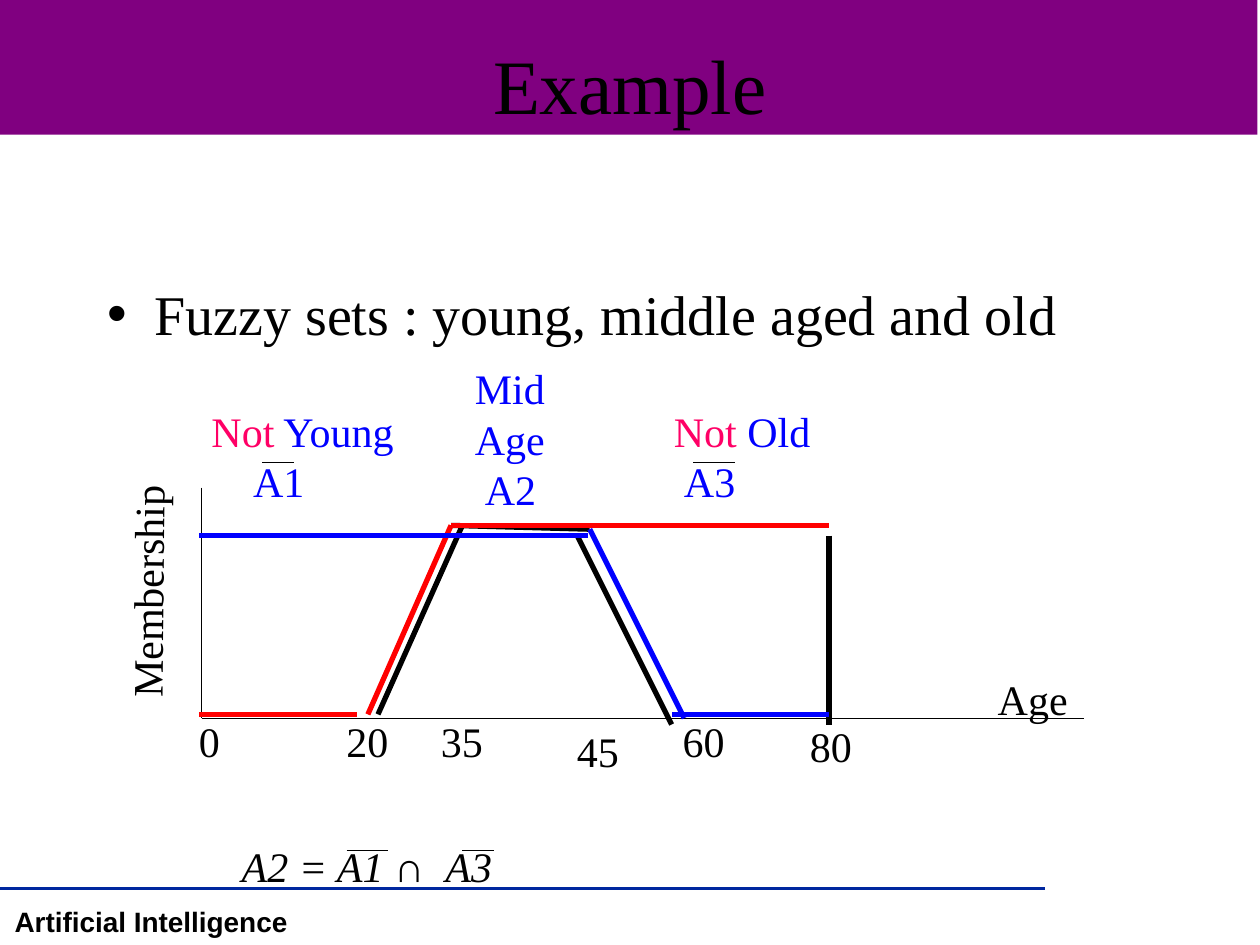
from dataclasses import dataclass

from pptx import Presentation
from pptx.dml.color import RGBColor
from pptx.enum import shapes, text
from pptx.oxml.ns import qn
from pptx.util import Inches, Pt
from lxml import etree


@dataclass(frozen=True)
class Theme:
    serif: str = "Times New Roman"
    sans: str = "Arial"
    black: str = "000000"
    purple: str = "800080"
    navy: str = "00279F"
    red: str = "FF0000"
    blue: str = "0000FF"
    pink: str = "FF0066"
    title: int = 44
    body: int = 32
    label: int = 24
    footer: int = 16
    thin: float = 0.75
    rule: float = 2
    thick: float = 3


THEME = Theme()


@dataclass(frozen=True)
class Run:
    text: str
    color: str = THEME.black
    size: int = THEME.label
    font: str = THEME.serif
    bold: bool = False
    italic: bool = False
    spacing: int = 0


@dataclass(frozen=True)
class Para:
    runs: tuple[Run, ...]
    indent: float = 0
    align: text.PP_ALIGN = text.PP_ALIGN.LEFT


@dataclass(frozen=True)
class Label:
    left: float
    top: float
    width: float
    height: float
    paras: tuple[Para, ...]
    rotation: float = 0


@dataclass(frozen=True)
class Line:
    x1: float
    y1: float
    x2: float
    y2: float
    color: str = THEME.black
    weight: float = THEME.thin


def one(content: str, color: str = THEME.black, indent: float = 0) -> Para:
    return Para((Run(content, color),), indent)


def add_run(p, run: Run) -> None:
    r = p.add_run()
    r.text = run.text
    f = r.font
    f.name, f.size = run.font, Pt(run.size)
    f.bold, f.italic = run.bold, run.italic
    f.color.rgb = RGBColor.from_string(run.color)
    if run.spacing:
        r._r.get_or_add_rPr().set("spc", str(run.spacing * 100))


def add_line(s, line: Line) -> None:
    ends = (Inches(v) for v in (line.x1, line.y1, line.x2, line.y2))
    c = s.shapes.add_connector(shapes.MSO_CONNECTOR.STRAIGHT, *ends)
    c.line.color.rgb = RGBColor.from_string(line.color)
    c.line.width = Pt(line.weight)
    etree.SubElement(c._element.spPr, qn("a:effectLst"))


def add_label(s, label: Label) -> None:
    box = (Inches(v) for v in (label.left, label.top, label.width, label.height))
    sp = s.shapes.add_textbox(*box)
    sp.rotation = label.rotation
    tf = sp.text_frame
    tf.word_wrap = False
    tf.auto_size = text.MSO_AUTO_SIZE.SHAPE_TO_FIT_TEXT
    for i, para in enumerate(label.paras):
        p = tf.add_paragraph() if i else tf.paragraphs[0]
        p.alignment = para.align
        if para.indent:
            p._p.get_or_add_pPr().set("marL", str(Inches(para.indent)))
        for run in para.runs:
            add_run(p, run)


def add_band(s) -> None:
    sp = s.shapes.add_shape(shapes.MSO_SHAPE.RECTANGLE, 0, 0, Inches(9.98), Inches(1.07))
    sp.shadow.inherit = False
    sp.fill.solid()
    sp.fill.fore_color.rgb = RGBColor.from_string(THEME.purple)
    sp.line.fill.background()


def fill_placeholder(s, sp, top: float, height: float, run: Run) -> None:
    sp.left, sp.top, sp.width, sp.height = map(Inches, (0.75, top, 8.5, height))
    sp.text_frame.auto_size = text.MSO_AUTO_SIZE.NONE
    add_run(sp.text_frame.paragraphs[0], run)
    s.shapes._spTree.append(sp._element)


def negated(name: str) -> Para:
    return Para((Run("Not", THEME.pink), Run(f" {name}", THEME.blue)))


FOOTER_LINE = Line(0, 7.05, 8.29, 7.05, THEME.navy, THEME.rule)
FOOTER = Label(0, 7.13, 2.4, 0.37, (
    Para((Run("Artificial Intelligence", size=THEME.footer, font=THEME.sans, bold=True),),
         align=text.PP_ALIGN.CENTER),))

AXES = (Line(1.6, 3.87, 1.6, 5.7), Line(1.6, 5.7, 8.6, 5.7))
CURVES = tuple(Line(*ends, color, THEME.thick) for color, *ends in (
    (THEME.black, 4.58, 4.25, 5.33, 5.75),
    (THEME.red, 2.92, 5.67, 3.58, 4.17),
    (THEME.black, 3.58, 4.17, 4.68, 4.2),
    (THEME.blue, 4.68, 4.2, 5.43, 5.7),
    (THEME.black, 3, 5.67, 3.67, 4.17),
    (THEME.black, 6.58, 4.25, 6.58, 5.75),
    (THEME.red, 2.83, 5.67, 1.58, 5.67),
    (THEME.blue, 6.58, 5.67, 5.33, 5.67),
    (THEME.red, 3.58, 4.17, 6.58, 4.17),
    (THEME.blue, 1.58, 4.25, 4.67, 4.25),
))
OVERBARS = tuple(Line(x1, y, x2, y) for x1, x2, y in (
    (2.08, 2.33, 3.67), (5.5, 5.83, 3.67), (2.75, 3.08, 6.75), (3.67, 3.92, 6.75)))

SET_LABELS = (
    Label(1.58, 3.17, 1.69, 0.9, (negated("Young"), one("A1", THEME.blue, 0.33))),
    Label(3.67, 2.83, 0.76, 1.3, (
        one("Mid", THEME.blue), one("Age", THEME.blue), one("A2", THEME.blue, 0.08))),
    Label(5.25, 3.17, 1.28, 0.9, (negated("Old"), one("A3", THEME.blue, 0.08))),
)
AXIS_LABELS = (
    Label(7.82, 5.3, 0.76, 0.5, (one("Age"),)),
    Label(0.22, 4.44, 1.89, 0.5, (one("Membership"),), 270.5),
)
TICKS = tuple(Label(x, y, 0.2 + 0.165 * len(age), 0.5, (one(age),)) for age, x, y in (
    ("0", 1.48, 5.63), ("20", 2.65, 5.63), ("35", 3.4, 5.63),
    ("45", 4.48, 5.71), ("60", 5.32, 5.63), ("80", 6.33, 5.67)))
FORMULA = Label(1.82, 6.62, 2.21, 0.5, (Para((
    Run("A2 = A1 ∩", italic=True),
    Run(" ", italic=True, spacing=6),
    Run("A3", italic=True))),))


def main() -> None:
    prs = Presentation()
    prs.slide_width, prs.slide_height = Inches(10), Inches(7.5)
    s = prs.slides.add_slide(prs.slide_layouts[1])
    title, body = s.placeholders
    add_band(s)
    add_line(s, FOOTER_LINE)
    add_label(s, FOOTER)
    fill_placeholder(s, title, 0.25, 0.83, Run("Example", size=THEME.title))
    fill_placeholder(s, body, 2.17, 4.5,
                     Run("Fuzzy sets : young, middle aged and old", size=THEME.body))
    for line in AXES + CURVES + OVERBARS:
        add_line(s, line)
    for label in SET_LABELS + AXIS_LABELS + TICKS + (FORMULA,):
        add_label(s, label)
    prs.save("out.pptx")


if __name__ == "__main__":
    main()
